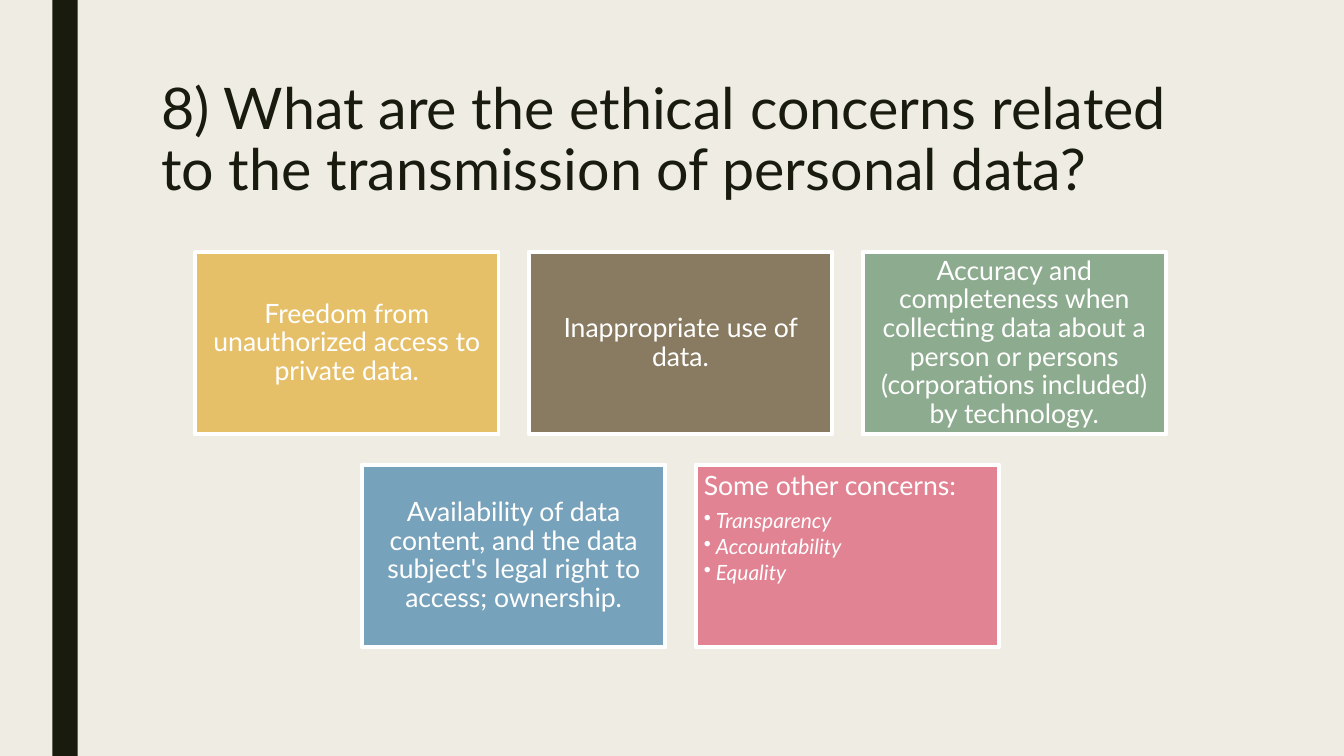
from dataclasses import dataclass

from lxml import etree
from pptx import Presentation
from pptx.dml.color import RGBColor
from pptx.enum.shapes import MSO_SHAPE
from pptx.enum.text import MSO_ANCHOR, PP_ALIGN
from pptx.oxml.ns import qn
from pptx.util import Inches, Pt

RECTANGLE = MSO_SHAPE.RECTANGLE
TOP, MIDDLE = MSO_ANCHOR.TOP, MSO_ANCHOR.MIDDLE
LEFT, CENTER = PP_ALIGN.LEFT, PP_ALIGN.CENTER

# Content: rows of cards, each with fill, text and bullets
TITLE = ("8) What are the ethical concerns related to the transmission "
         "of personal data?")
CARD_ROWS = [
    [
        ("E6C069", "Freedom from unauthorized access to private data.", []),
        ("897B61", "Inappropriate use of data.", []),
        ("8DAB8E", "Accuracy and completeness when collecting data about a "
                   "person or persons (corporations included) by technology.", []),
    ],
    [
        ("77A2BB", "Availability of data content, and the data subject's "
                   "legal right to access; ownership.", []),
        ("E28394", "Some other concerns:",
         ["Transparency", "Accountability", "Equality"]),
    ],
]


@dataclass(frozen=True)
class Theme:
    font: str = "Lato"
    background: str = "EFEDE3"
    dark: str = "191B0E"
    light: str = "FFFFFF"
    title_size: float = 41
    card_size: float = 19
    bullet_size: float = 15
    border: float = 2.75


THEME = Theme()

# Card grid, in inches
GRID_CENTER, GRID_TOP = 6.75, 2.5
CARD_WIDTH, CARD_HEIGHT, GAP = 3.01, 1.81, 0.3
CARD_INSET, BULLET_INDENT = 0.08, 0.12


def color(value):
    return RGBColor.from_string(value)


def paint(target, value):
    target.fill.solid()
    target.fill.fore_color.rgb = color(value)


def add_run(paragraph, text, size, text_color, italic=False):
    run = paragraph.add_run()
    run.text = text
    run.font.name = THEME.font
    run.font.size = Pt(size)
    run.font.italic = italic
    run.font.color.rgb = color(text_color)


def add_rectangle(slide, left, top, width, height, fill):
    shape = slide.shapes.add_shape(
        RECTANGLE, Inches(left), Inches(top), Inches(width), Inches(height))
    shape.shadow.inherit = False
    paint(shape, fill)
    return shape


def make_bullet(paragraph):
    properties = paragraph._p.get_or_add_pPr()
    indent = Inches(BULLET_INDENT)
    properties.set("marL", str(indent))
    properties.set("indent", str(-indent))
    etree.SubElement(properties, qn("a:buChar")).set("char", "•")


def add_card(slide, left, top, fill, text, bullets):
    card = add_rectangle(slide, left, top, CARD_WIDTH, CARD_HEIGHT, fill)
    card.line.color.rgb = color(THEME.light)
    card.line.width = Pt(THEME.border)
    frame = card.text_frame
    frame.word_wrap = True
    frame.vertical_anchor = TOP if bullets else MIDDLE
    frame.margin_left = frame.margin_right = Inches(CARD_INSET)
    frame.margin_top = frame.margin_bottom = Inches(CARD_INSET)

    heading = frame.paragraphs[0]
    heading.alignment = LEFT if bullets else CENTER
    heading.line_spacing = 0.9
    if bullets:
        heading.space_after = Pt(0.35 * THEME.card_size)
    add_run(heading, text, THEME.card_size, THEME.light)

    for bullet in bullets:
        paragraph = frame.add_paragraph()
        make_bullet(paragraph)
        paragraph.level = 1
        paragraph.alignment = LEFT
        paragraph.line_spacing = 0.9
        paragraph.space_after = Pt(0.15 * THEME.bullet_size)
        add_run(paragraph, bullet, THEME.bullet_size, THEME.light, italic=True)


def main():
    presentation = Presentation()
    presentation.slide_width = Inches(13.33)
    presentation.slide_height = Inches(7.5)
    title_only = presentation.slide_layouts.get_by_name("Title Only")
    slide = presentation.slides.add_slide(title_only)
    paint(slide.background, THEME.background)

    # Side bar
    bar = add_rectangle(slide, 0.52, 0, 0.25, 7.5, THEME.dark)
    bar.line.fill.background()

    # Title
    title = slide.shapes.title
    title.left, title.top = Inches(1.5), Inches(0.75)
    title.width, title.height = Inches(10.5), Inches(1.62)
    title.text_frame.word_wrap = True
    title.text_frame.vertical_anchor = TOP
    paragraph = title.text_frame.paragraphs[0]
    paragraph.alignment = LEFT
    paragraph.line_spacing = 0.89
    add_run(paragraph, TITLE, THEME.title_size, THEME.dark)

    # Cards, each row centred
    for row, cards in enumerate(CARD_ROWS):
        row_width = len(cards) * (CARD_WIDTH + GAP) - GAP
        row_left = GRID_CENTER - row_width / 2
        top = GRID_TOP + row * (CARD_HEIGHT + GAP)
        for column, card in enumerate(cards):
            add_card(slide, row_left + column * (CARD_WIDTH + GAP), top, *card)

    presentation.save("out.pptx")


if __name__ == "__main__":
    main()
